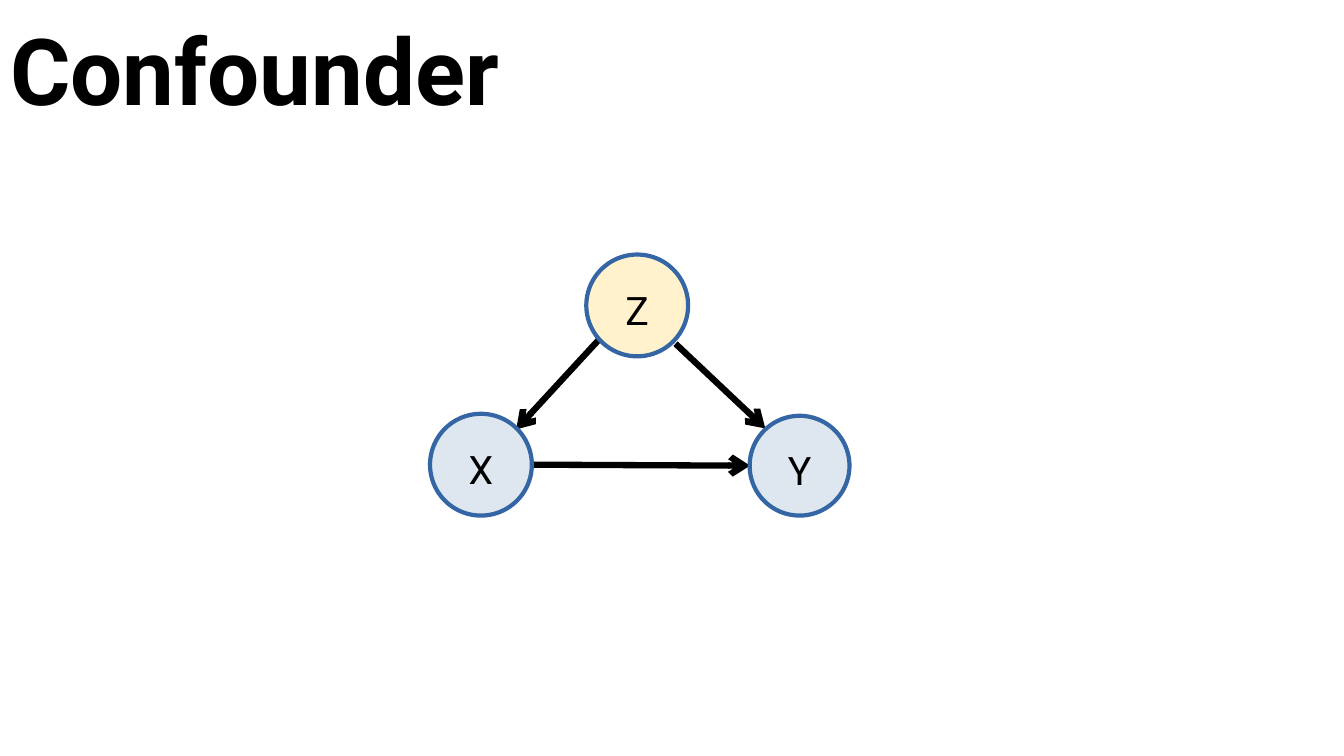
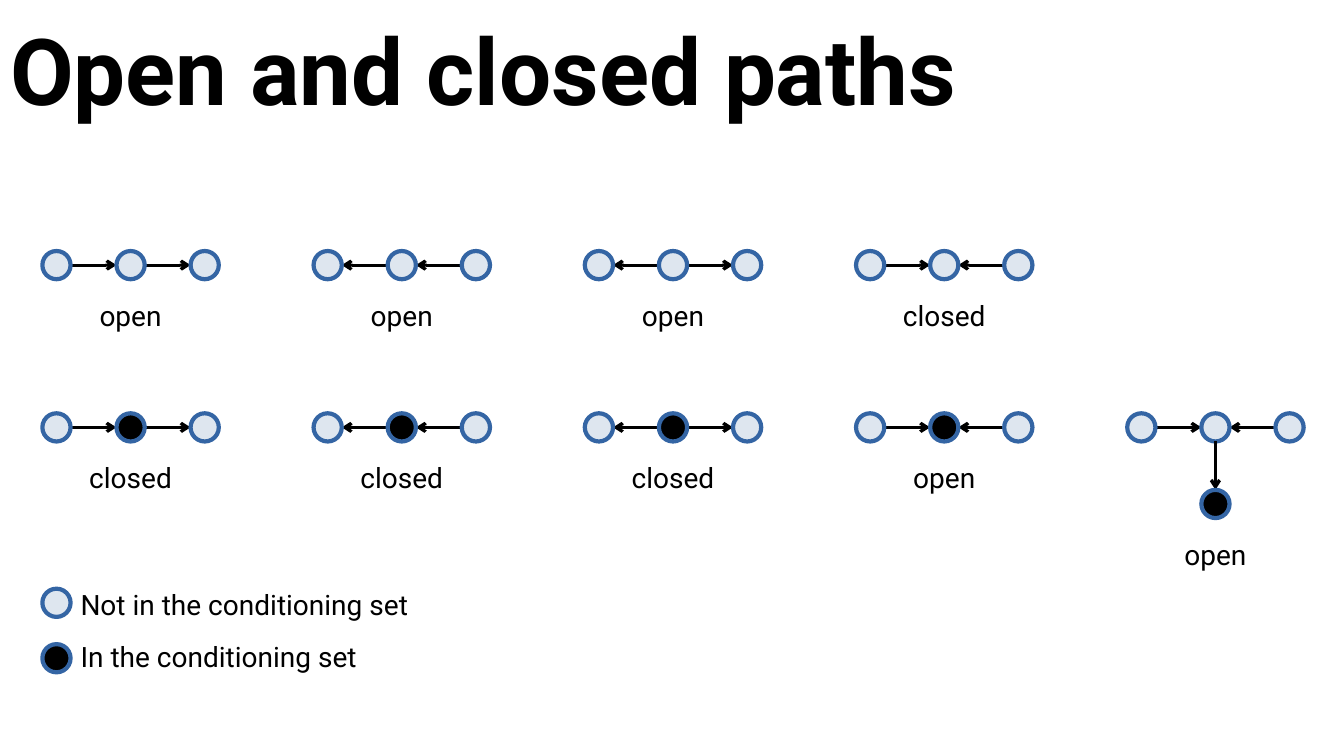
from lxml import etree
from pptx import Presentation
from pptx.dml.color import RGBColor
from pptx.enum.shapes import MSO_CONNECTOR, MSO_SHAPE
from pptx.enum.text import MSO_ANCHOR, PP_ALIGN
from pptx.oxml.ns import qn
from pptx.util import Inches, Pt

OVAL, STRAIGHT = MSO_SHAPE.OVAL, MSO_CONNECTOR.STRAIGHT
LEFT, CENTER, MIDDLE = PP_ALIGN.LEFT, PP_ALIGN.CENTER, MSO_ANCHOR.MIDDLE

COLORS = {
    "ink": "000000",
    "outline": "3465A4",
    "node": "DEE6EF",
    "confounder": "FFF2CC",
}
INK = RGBColor.from_string(COLORS["ink"])
TITLE_FONT = {"name": "Roboto", "size": Pt(66), "bold": True}
NODE_FONT = {"name": "Roboto", "size": Pt(28)}
LABEL_FONT = {"name": "Roboto", "size": Pt(20)}


def add_node(slide, center_x, center_y, diameter, color):
    node = slide.shapes.add_shape(
        OVAL, Inches(center_x - diameter / 2), Inches(center_y - diameter / 2),
        Inches(diameter), Inches(diameter))
    node.shadow.inherit = False
    node.fill.solid()
    node.fill.fore_color.rgb = RGBColor.from_string(COLORS[color])
    node.line.color.rgb = RGBColor.from_string(COLORS["outline"])
    node.line.width = Pt(3)
    return node


def add_arrow(slide, start, end, width):
    """Draw a line from start to end, with the arrowhead at end."""
    arrow = slide.shapes.add_connector(STRAIGHT, *map(Inches, start + end))
    arrow.line.color.rgb = INK
    arrow.line.width = Pt(width)
    etree.SubElement(arrow.line._get_or_add_ln(), qn("a:tailEnd"), type="arrow")
    etree.SubElement(arrow._element.spPr, qn("a:effectLst"))


prs = Presentation()
prs.slide_width, prs.slide_height = Inches(13.33), Inches(7.5)

# Titled slides
slides = []
for heading in ("Confounder", "Open and closed paths"):
    slide = prs.slides.add_slide(prs.slide_layouts[5])
    title = slide.shapes.title
    title.left, title.top = Inches(0), Inches(0.02)
    title.width, title.height = Inches(13.33), Inches(1.45)
    title.text_frame.text = heading
    title.text_frame.vertical_anchor = MIDDLE
    paragraph = title.text_frame.paragraphs[0]
    paragraph.alignment = LEFT
    paragraph.line_spacing = 0.9
    for key, value in TITLE_FONT.items():
        setattr(paragraph.font, key, value)
    paragraph.font.color.rgb = INK
    slides.append(slide)
confounder, paths = slides

# Confounder triangle
for start, end in (
    ((5.94, 3.37), (5.12, 4.26)),
    ((6.7, 3.41), (7.59, 4.25)),
    ((5.27, 4.61), (7.44, 4.62)),
):
    add_arrow(confounder, start, end, 4.5)

for variable, center_x, center_y, diameter, color in (
    ("Y", 7.93, 4.62, 0.99, "node"),
    ("X", 4.77, 4.61, 1.01, "node"),
    ("Z", 6.32, 3.03, 1.01, "confounder"),
):
    frame = add_node(confounder, center_x, center_y, diameter, color).text_frame
    frame.text = variable
    frame.vertical_anchor = MIDDLE
    frame.margin_top, frame.margin_bottom = Inches(0.08), Inches(0)
    paragraph = frame.paragraphs[0]
    paragraph.alignment = CENTER
    for key, value in NODE_FONT.items():
        setattr(paragraph.font, key, value)
    paragraph.font.color.rgb = INK

# Grid of three-node paths: arrow directions, middle node, verdict
NODE_SIZE = 0.28
RADIUS = NODE_SIZE / 2
PATH_WIDTH = 1.75
NODE_STEP = (PATH_WIDTH - NODE_SIZE) / 2
GRID_LEFT, COLUMN_STEP = 0.42, 2.69
LABEL_DROP = 0.28
CHILD_DROP = 0.76
path_rows = (
    (2.63, (("→→", "node", "open"), ("←←", "node", "open"),
            ("←→", "node", "open"), ("→←", "node", "closed"))),
    (4.24, (("→→", "ink", "closed"), ("←←", "ink", "closed"),
            ("←→", "ink", "closed"), ("→←", "ink", "open"),
            ("→←", "node", "open"))),
)
labels = []
for center_y, row in path_rows:
    for column, (directions, middle_color, verdict) in enumerate(row):
        path_left = GRID_LEFT + column * COLUMN_STEP
        centers = [path_left + RADIUS + i * NODE_STEP for i in range(3)]
        for i, direction in enumerate(directions):
            ends = [(centers[i] + RADIUS, center_y),
                    (centers[i + 1] - RADIUS, center_y)]
            if direction == "←":
                ends.reverse()
            add_arrow(paths, *ends, 2.25)
        for center_x, color in zip(centers, ("node", middle_color, "node")):
            add_node(paths, center_x, center_y, NODE_SIZE, color)
        label_top = center_y + LABEL_DROP
        if column == 4:  # conditioned child of the middle node
            child_y = center_y + CHILD_DROP
            add_arrow(paths, (centers[1], center_y + RADIUS),
                      (centers[1], child_y - RADIUS), 2.25)
            add_node(paths, centers[1], child_y, NODE_SIZE, "ink")
            label_top += CHILD_DROP
        labels.append((verdict, path_left, label_top, PATH_WIDTH, CENTER))

# Legend
for meaning, color, center_y, label_top in (
    ("Not in the conditioning set", "node", 5.98, 5.78),
    ("In the conditioning set", "ink", 6.53, 6.3),
):
    add_node(paths, GRID_LEFT + RADIUS, center_y, NODE_SIZE, color)
    labels.append((meaning, GRID_LEFT + NODE_SIZE, label_top, 3.78, LEFT))

for wording, left, top, width, alignment in labels:
    frame = paths.shapes.add_textbox(
        Inches(left), Inches(top), Inches(width), Inches(0.66)).text_frame
    frame.word_wrap = True
    frame.text = wording
    paragraph = frame.paragraphs[0]
    paragraph.alignment = alignment
    for key, value in LABEL_FONT.items():
        setattr(paragraph.font, key, value)
    paragraph.font.color.rgb = INK

prs.save("out.pptx")
